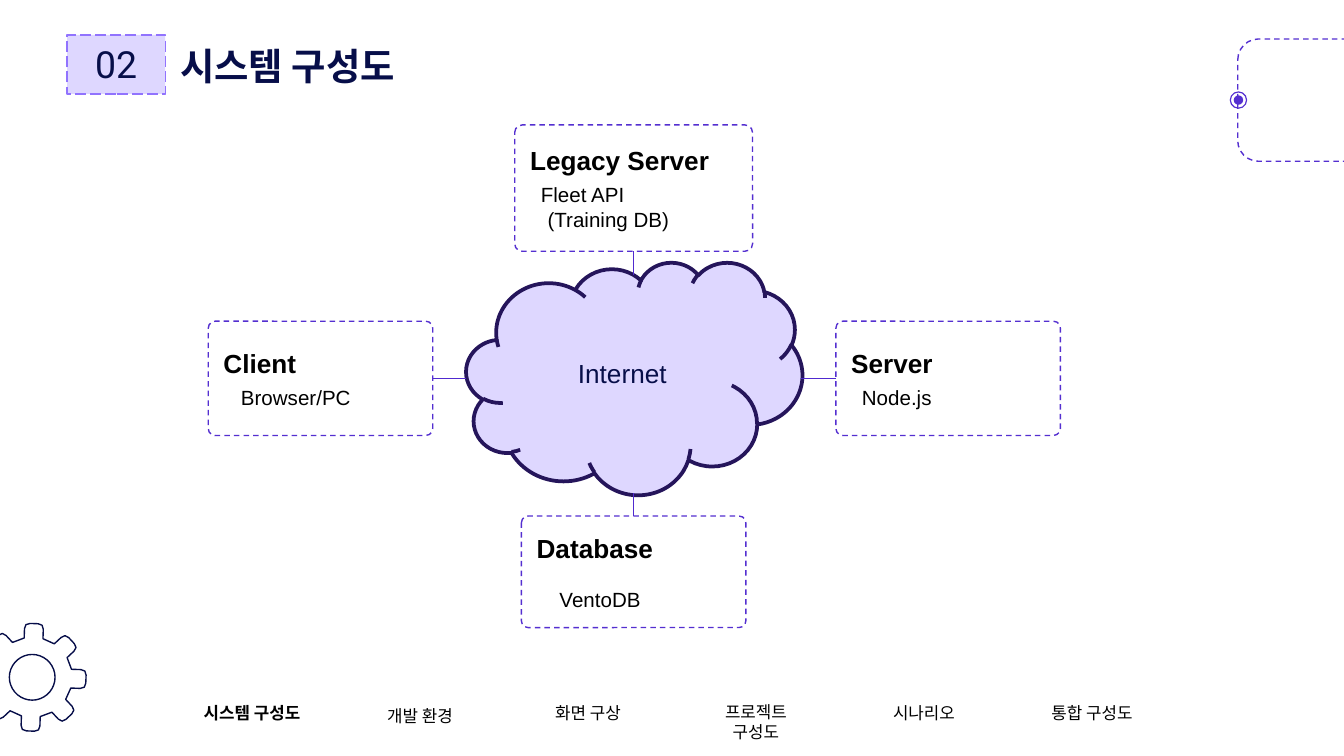
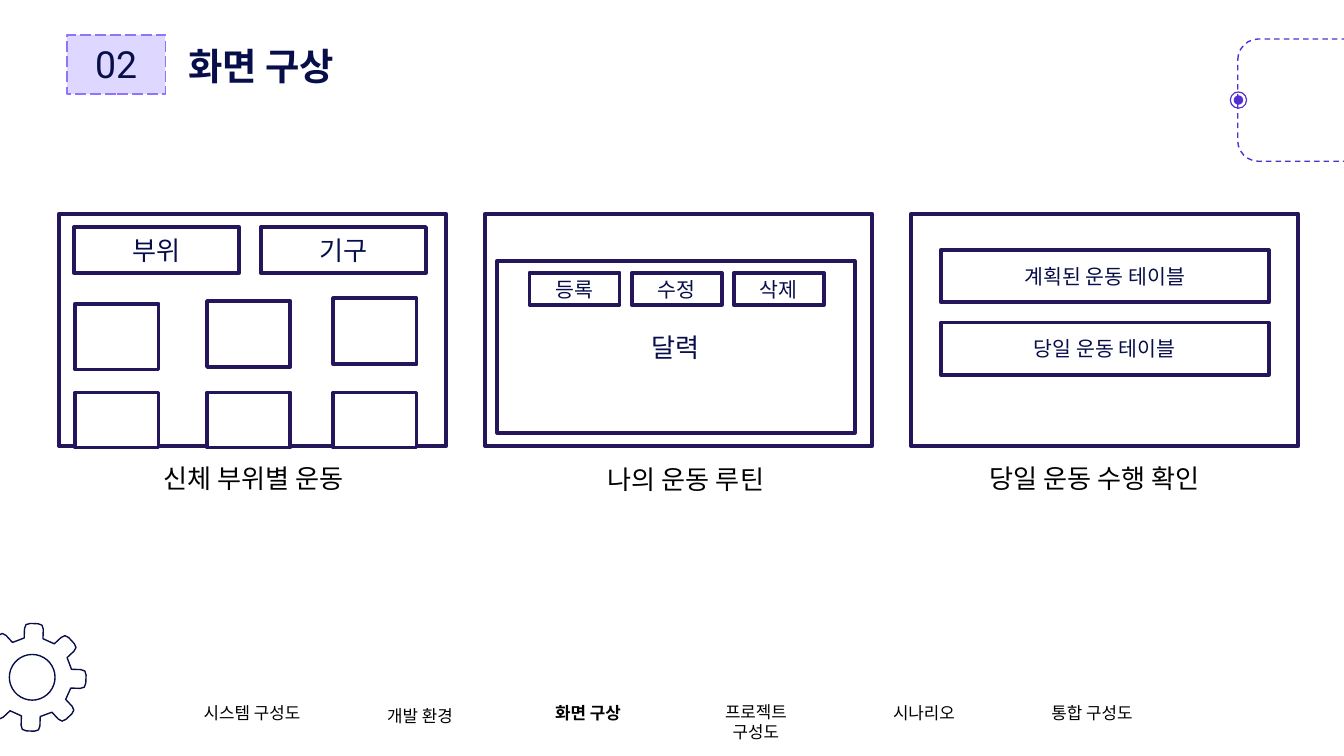
import math
import pptx
import pptx.util
import pptx.dml.color
import pptx.enum.dml
import pptx.enum.shapes
import pptx.enum.text
import pptx.oxml.ns
import lxml.etree

Inches = pptx.util.Inches
Pt = pptx.util.Pt
SHAPE = pptx.enum.shapes.MSO_SHAPE
DASH = pptx.enum.dml.MSO_LINE
ALIGN = pptx.enum.text.PP_ALIGN
ANCHOR = pptx.enum.text.MSO_ANCHOR
rgb = pptx.dml.color.RGBColor.from_string

THEME = {
    "navy": rgb("070E49"), "outline": rgb("25155B"), "violet": rgb("542FD0"),
    "link": rgb("502ACF"), "badge": rgb("9173FE"), "lilac": rgb("DED7FF"),
    "white": rgb("FFFFFF"), "black": rgb("000000"),
    "heading_font": "Roboto", "font": "Arial",
    "heading": 20, "label": 14, "detail": 11, "nav": 9, "thin": 0.75, "thick": 2,
}


def write(frame, text, size, color="navy", bold=False, font="font", align=ALIGN.CENTER):
    frame.word_wrap = True
    for number, line in enumerate(text.split("\n")):
        paragraph = frame.add_paragraph() if number or frame.text else frame.paragraphs[0]
        paragraph.alignment = align
        run = paragraph.add_run()
        run.text = line
        run.font.size = Pt(THEME[size])
        run.font.name = THEME[font]
        run.font.bold = bold
        run.font.color.rgb = THEME[color]
    return paragraph


def style(shape, fill=None, line=None, width="thin", dash=None):
    shape.shadow.inherit = False
    if fill:
        shape.fill.solid()
        shape.fill.fore_color.rgb = THEME[fill]
    else:
        shape.fill.background()
    if line:
        shape.line.color.rgb = THEME[line]
        shape.line.width = Pt(THEME[width])
        if dash:
            shape.line.dash_style = dash
    else:
        shape.line.fill.background()
    return shape


prs = pptx.Presentation()
prs.slide_width = Inches(10)
prs.slide_height = Inches(5.625)
layout = prs.slide_layouts[5]
system = prs.slides.add_slide(layout)
screens = prs.slides.add_slide(layout)

gear_x, gear_y = 0.24, 5.04
tooth = [(-0.07, 0.29), (-0.07, 0.36), (-0.06, 0.39), (-0.03, 0.4),
         (0.03, 0.4), (0.06, 0.39), (0.07, 0.36), (0.07, 0.29)]
rim = []
for step in range(8):
    turn = math.radians(2 + 45 * step)
    for across, out in tooth:
        rim.append((Inches(gear_x + out * math.sin(turn) + across * math.cos(turn)),
                    Inches(gear_y - out * math.cos(turn) + across * math.sin(turn))))
hub = [(Inches(gear_x + 0.17 * math.cos(math.radians(a))), Inches(gear_y + 0.17 * math.sin(math.radians(a))))
       for a in range(0, 360, 10)]
outline = system.shapes.build_freeform(*rim[0])
outline.add_line_segments(rim[1:])
outline.move_to(*hub[0])
outline.add_line_segments(hub[1:])
gear = style(outline.convert_to_shape(), line="navy")

corner = system.shapes.add_shape(SHAPE.ROUNDED_RECTANGLE, Inches(9.21), Inches(0.29), Inches(1.7), Inches(0.91))
corner.adjustments[0] = 0.17
style(corner, line="violet", dash=DASH.DASH)
dot = style(system.shapes.add_shape(SHAPE.OVAL, Inches(9.18), Inches(0.71), Inches(0.07), Inches(0.07)), "violet")
ring = style(system.shapes.add_shape(SHAPE.DONUT, Inches(9.15), Inches(0.68), Inches(0.13), Inches(0.13)), "violet")
ring.adjustments[0] = 0.07
for number, ornament in enumerate((gear, corner, dot, ring)):
    ornament._element.nvSpPr.cNvPr.set("id", str(20 + number))
    layout.shapes._spTree.append(ornament._element)

sections = [("시스템 구성도", 5.18, 0.25), ("개발 환경", 5.2, 0.25), ("화면 구상", 5.18, 0.25),
            ("프로젝트\n구성도", 5.17, 0.4), ("시나리오", 5.18, 0.25), ("통합 구성도", 5.18, 0.25)]
for slide, heading, left, width in ((system, "시스템 구성도", 1.24, 1.98), (screens, "화면 구상", 1.3, 2.29)):
    title = slide.shapes.title
    title.left, title.top, title.width, title.height = Inches(left), Inches(0.22), Inches(width), Inches(0.52)
    frame = title.text_frame
    frame.margin_top = frame.margin_bottom = Inches(0.1)
    frame.vertical_anchor = ANCHOR.TOP
    frame.auto_size = pptx.enum.text.MSO_AUTO_SIZE.NONE
    write(frame, heading, "heading", bold=True, font="heading_font", align=ALIGN.LEFT)

    badge = slide.shapes.add_shape(SHAPE.RECTANGLE, Inches(0.5), Inches(0.26), Inches(0.73), Inches(0.44))
    style(badge, "lilac", "badge", dash=DASH.LONG_DASH)
    badge.text_frame.margin_top, badge.text_frame.margin_bottom = Inches(0.09), Inches(0.1)
    write(badge.text_frame, "02", "heading", font="heading_font")

    for number, (section, top, height) in enumerate(sections):
        entry = slide.shapes.add_textbox(Inches(1.36 + 1.25 * number), Inches(top), Inches(1.03), Inches(height))
        entry.text_frame.auto_size = pptx.enum.text.MSO_AUTO_SIZE.SHAPE_TO_FIT_TEXT
        write(entry.text_frame, section, "nav", "black", section == heading)

internet = system.shapes.add_shape(SHAPE.CLOUD, Inches(3.47), Inches(1.95), Inches(2.5), Inches(1.73))
style(internet, "lilac", "outline", "thick")
write(internet.text_frame, "Internet", "label")

nodes = [
    ("Legacy Server", [("Fleet API", 0.08), ("(Training DB)", 0.13)], 3.5, (3.83, 0.93, 1.77, 0.94), 2.05, 2),
    ("Server", [("Node.js", 0.08)], 3.5, (6.22, 2.39, 1.67, 0.85), 5.96, 1),
    ("Client", [("Browser/PC", 0.13)], 3.5, (1.55, 2.39, 1.67, 0.85), 3.47, 3),
    ("Database", [("VentoDB", 0.17)], 12.5, (3.88, 3.84, 1.67, 0.83), 3.67, 0),
]
for name, details, gap, box, cloud_edge, side in nodes:
    node = system.shapes.add_shape(SHAPE.ROUNDED_RECTANGLE, *map(Inches, box))
    node.adjustments[0] = 0.06
    style(node, line="violet", dash=DASH.DASH)
    node.text_frame.margin_top = node.text_frame.margin_bottom = Inches(0.1)
    write(node.text_frame, name, "label", "black", True, align=ALIGN.LEFT)
    for number, (detail, indent) in enumerate(details):
        paragraph = write(node.text_frame, detail, "detail", "black", align=ALIGN.LEFT)
        paragraph._p.get_or_add_pPr().set("marL", str(Inches(indent)))
        paragraph.space_before = Pt(0 if number else gap)
    if side in (0, 2):
        start = (node.left + node.width // 2, Inches(cloud_edge))
    else:
        start = (Inches(cloud_edge), node.top + node.height // 2)
    link = system.shapes.add_connector(pptx.enum.shapes.MSO_CONNECTOR.STRAIGHT, *start, *start)
    link.end_connect(node, side)
    link.line.color.rgb = THEME["link"]
    link.line.width = Pt(THEME["thin"])
    lxml.etree.SubElement(link._element.spPr, pptx.oxml.ns.qn("a:effectLst"))

captions = [("신체 부위별 운동", 0.74, 3.39), ("나의 운동 루틴", 3.96, 3.4), ("당일 운동 수행 확인", 7, 3.39)]
for text, left, top in captions:
    caption = screens.shapes.add_textbox(Inches(left), Inches(top), Inches(2.29), Inches(0.34))
    caption.text_frame.auto_size = pptx.enum.text.MSO_AUTO_SIZE.SHAPE_TO_FIT_TEXT
    write(caption.text_frame, text, "label", "black")

wireframes = [("", "label", 0.44 + 3.17 * n, 1.59, 2.88, 1.73) for n in range(3)]
wireframes += [(tab, "label", 0.55 + 1.39 * n, 1.69, 1.23, 0.34) for n, tab in enumerate(("부위", "기구"))]
for number, left in enumerate((0.56, 1.54, 2.48)):
    wireframes.append(("", "label", left, 2.26 - 0.02 * number, 0.62, 0.49))
    wireframes.append(("", "label", left, 2.92, 0.62, 0.41))
wireframes.append(("달력", "label", 3.7, 1.94, 2.66, 1.28))
wireframes += [(action, "detail", 3.94 + 0.76 * n, 2.03, 0.67, 0.24)
               for n, action in enumerate(("등록", "수정", "삭제"))]
wireframes += [(table, "detail", 7, 1.86 + 0.54 * n, 2.44, 0.39)
               for n, table in enumerate(("계획된 운동 테이블", "당일 운동 테이블"))]
for text, size, *box in wireframes:
    part = style(screens.shapes.add_shape(SHAPE.RECTANGLE, *map(Inches, box)), "white", "outline", "thick")
    if text:
        write(part.text_frame, text, size)

prs.save("out.pptx")
